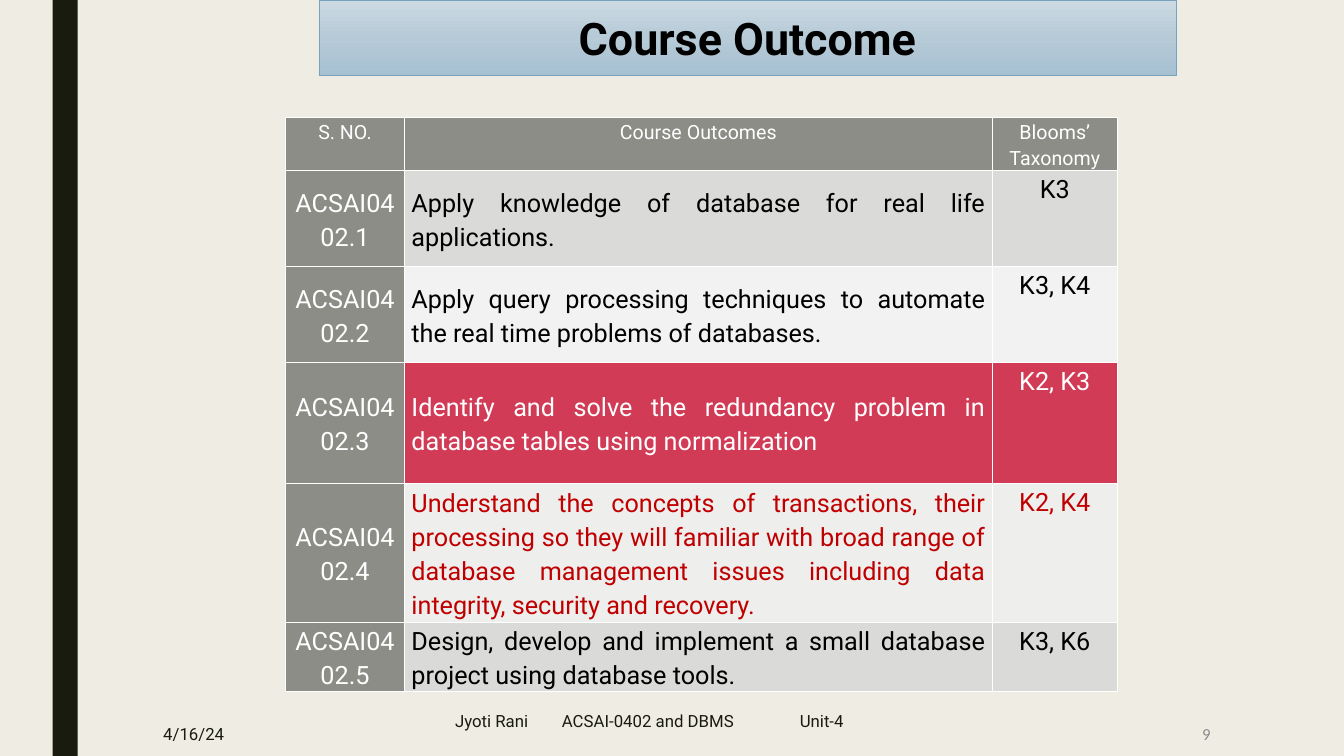
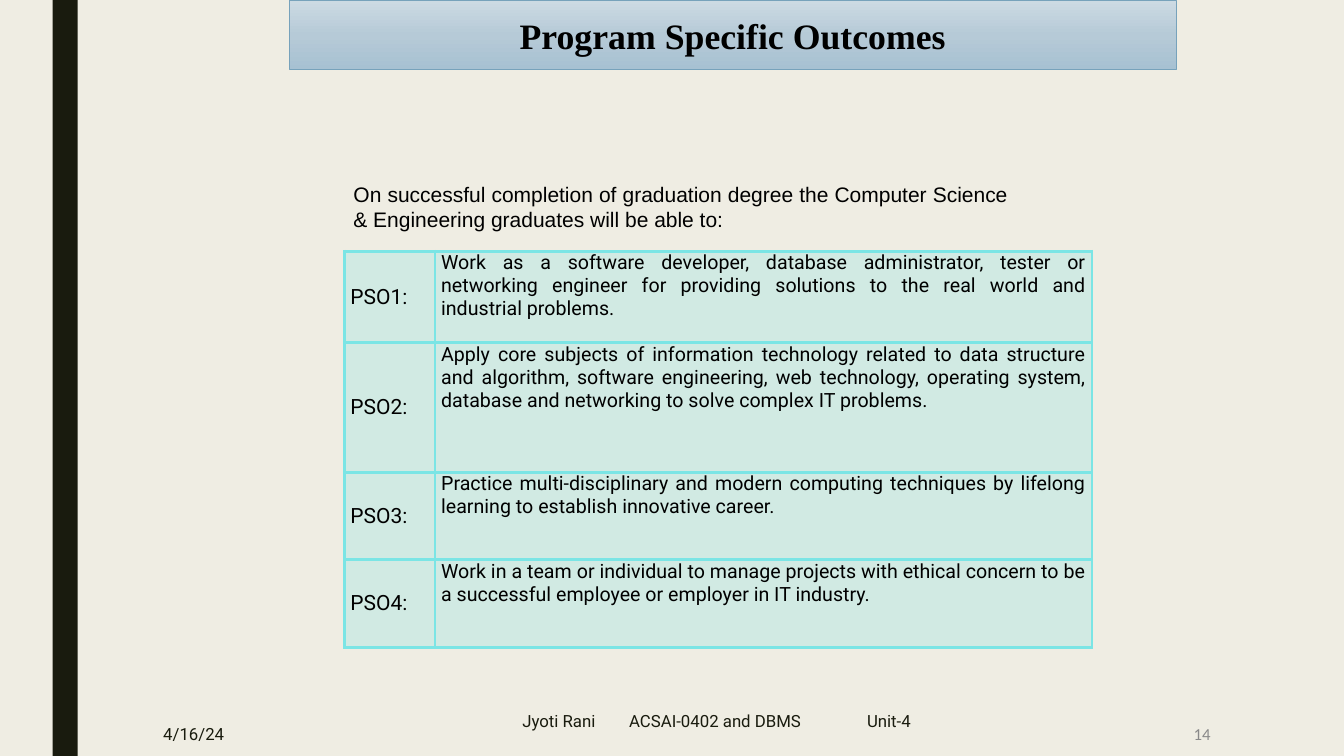
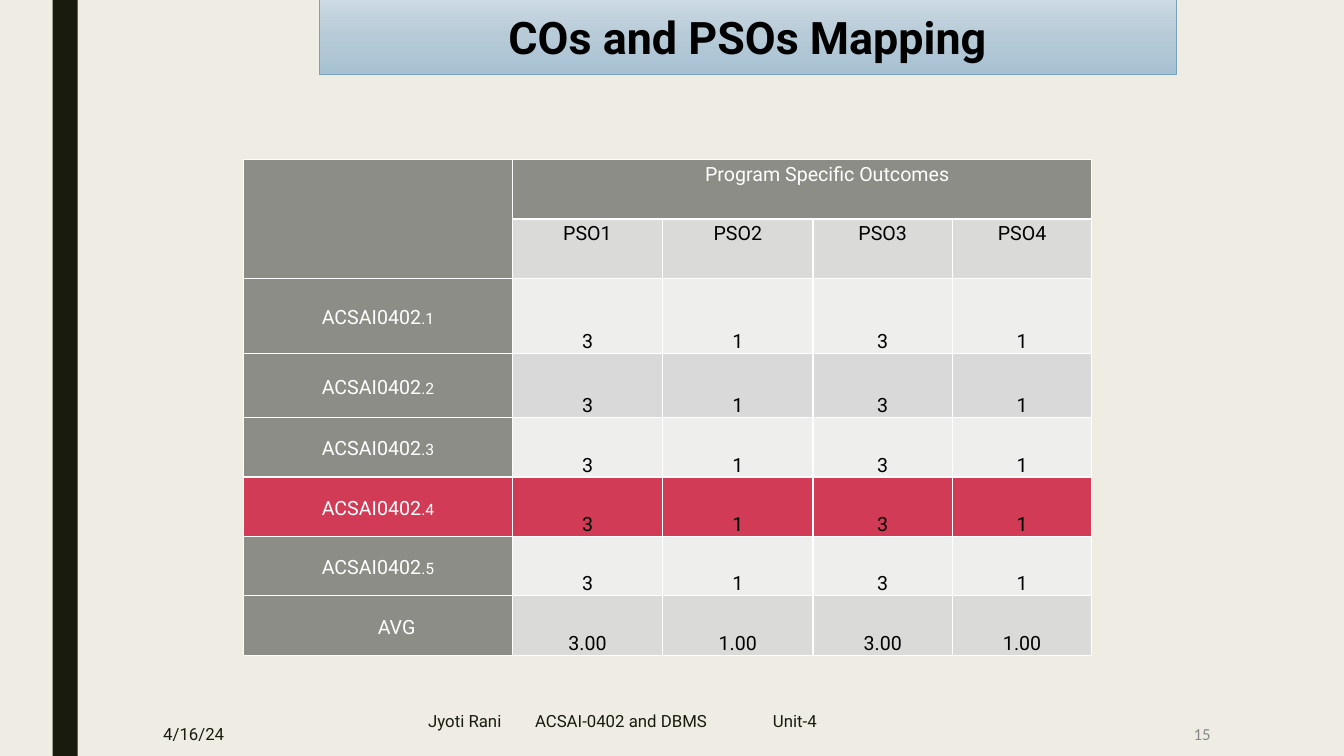
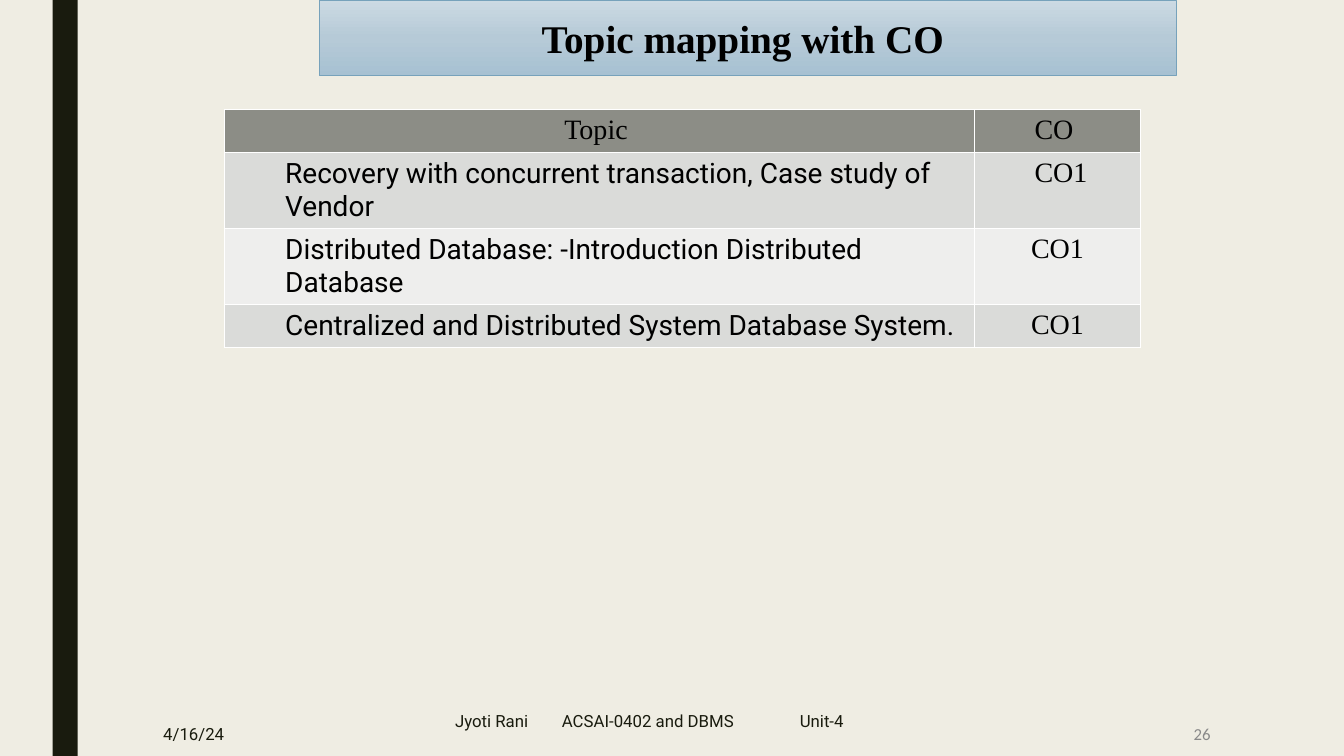
"""Build four course outcome slides with shared bands, footers and tables."""
from copy import deepcopy
from dataclasses import dataclass, replace
from typing import NamedTuple

from lxml.etree import SubElement as Sub
from pptx import Presentation
from pptx.dml.color import RGBColor as Color
from pptx.enum.shapes import MSO_SHAPE as Kind
from pptx.enum.text import MSO_ANCHOR as Anchor, MSO_AUTO_SIZE as Auto, PP_ALIGN as Align
from pptx.oxml.ns import qn
from pptx.slide import Slide
from pptx.table import _Cell as Slot
from pptx.text.text import TextFrame as Frame, _Paragraph as Para
from pptx.util import Emu, Inches, Pt

ROWS = 90
WIDE, HIGH = Inches(13.3333), Inches(7.5)


def unit(n: float) -> Emu:
    """Turn grid units into a length; a column is as wide as a row is high."""
    return Emu(round(n * HIGH / ROWS))


class Look(NamedTuple):
    size: float
    font: str
    ink: str
    bold: bool = False


class Box(NamedTuple):
    left: float
    top: float
    wide: float
    high: float

    def scale(self) -> list[Emu]:
        """Give the four sides as slide lengths."""
        return [unit(n) for n in self]


@dataclass(frozen=True)
class Theme:
    page: str = "EFEDE3"
    dark: str = "191B0E"
    black: str = "000000"
    white: str = "FFFFFF"
    head: str = "8C8D86"
    mid: str = "DADBD9"
    flat: str = "D9D9D9"
    pale: str = "EEEEED"
    light: str = "F2F2F2"
    red: str = "D13B56"
    alert: str = "C00000"
    aqua: str = "7BE5E5"
    edge: str = "77A2BB"
    gray: str = "898989"
    band: tuple[str, ...] = ("CCDAE3", "B6CAD7", "A7C1D2")
    sans: str = "Roboto"
    serif: str = "Times New Roman"
    plain: str = "Arial"
    digit: str = "Calibri"
    title: float = 32
    topic: float = 28
    program: float = 25.5
    large: float = 20
    main: float = 18
    note: float = 15
    small: float = 14
    foot: float = 12


T = Theme()
FOOT = Look(T.foot, T.sans, T.dark)
COUNT = Look(T.foot, T.digit, T.gray)
TITLE = Look(T.title, T.sans, T.black, True)
MAIN = Look(T.main, T.sans, T.black)
SMALL = Look(T.small, T.sans, T.black)
LABEL = Look(T.note, T.sans, T.black)
INTRO = Look(T.note, T.plain, T.black)
TOPIC = Look(T.large, T.sans, T.black)
CODE = Look(T.large, T.serif, T.black)
BAND = Box(38, 0, 102, 9)


@dataclass(frozen=True)
class Cell:
    text: str
    look: Look
    fill: str
    align: Align = Align.CENTER
    anchor: Anchor = Anchor.TOP
    tail: str = ""
    dent: float = 0
    after: float = 0


@dataclass(frozen=True)
class Grid:
    left: float
    top: float
    cols: list[float]
    rows: list[float]
    cells: list[list[Cell]]
    inset: tuple[float, float] = (0.07, 0)
    lead: float = 1.15
    edge: str = T.white
    line: float = 1
    alpha: int = 100


@dataclass(frozen=True)
class Page:
    title: str
    look: Look
    band: Box
    foot: Box
    count: str
    grid: Grid


def add_run(para: Para, text: str, look: Look, caps: bool = False) -> None:
    """Add one run in the given look."""
    run = para.add_run()
    run.text = text
    font = run.font
    font.size, font.name, font.bold = Pt(look.size), look.font, look.bold
    font.color.rgb = Color.from_string(look.ink)
    if caps:
        run._r.get_or_add_rPr().set("cap", "small")


def write(frame: Frame, text: str, look: Look, align: Align = Align.LEFT,
          anchor: Anchor = Anchor.MIDDLE) -> Para:
    """Write a single wrapped paragraph into a frame."""
    frame.word_wrap, frame.auto_size = True, Auto.NONE
    frame.vertical_anchor = anchor
    para = frame.paragraphs[0]
    para.alignment = align
    add_run(para, text, look)
    return para


def add_text(slide: Slide, box: Box, text: str, look: Look,
             align: Align = Align.LEFT, anchor: Anchor = Anchor.MIDDLE) -> Para:
    """Place a text box."""
    frame = slide.shapes.add_textbox(*box.scale()).text_frame
    return write(frame, text, look, align, anchor)


def add_title(slide: Slide, page: Page) -> None:
    """Turn the title placeholder into the shaded band."""
    band = slide.shapes.title
    band.left, band.top, band.width, band.height = page.band.scale()
    band.fill.gradient()
    band.fill.gradient_angle = 270
    stops = band.fill._fill._gradFill.find(qn("a:gsLst"))
    stops.insert(1, deepcopy(stops[0]))
    for i, stop in enumerate(band.fill.gradient_stops):
        stop.position = i / 2
        stop.color.rgb = Color.from_string(T.band[i])
    band.line.color.rgb = Color.from_string(T.edge)
    band.line.width = Pt(0.5)
    band.shadow.inherit = False
    write(band.text_frame, page.title, page.look, Align.CENTER)


def add_foot(slide: Slide, page: Page) -> None:
    """Add the date, the course line and the slide number."""
    add_text(slide, Box(18.25, 84.7, 15.8, 5.3), "4/16/24", FOOT)
    para = add_text(slide, page.foot, "Jyoti Rani\tACSAI-0402 and DBMS\tUnit-4", FOOT)
    tabs = Sub(para._p.get_or_add_pPr(), qn("a:tabLst"))
    for stop in (1.06, 3.42):
        Sub(tabs, qn("a:tab"), pos=str(Inches(stop)), algn="l")
    add_text(slide, Box(124.3, 84.7, 21, 5.3), page.count, COUNT, Align.RIGHT)


def add_edge(slot: Slot, ink: str, line: float) -> None:
    """Draw the four borders of a cell."""
    props = slot._tc.get_or_add_tcPr()
    for i, side in enumerate("LRTB"):
        edge = props.makeelement(qn(f"a:ln{side}"), {"w": str(Pt(line))})
        props.insert(i, edge)
        Sub(Sub(edge, qn("a:solidFill")), qn("a:srgbClr"), val=ink)


def fill_cell(slot: Slot, cell: Cell, grid: Grid) -> None:
    """Style one table cell and write its text."""
    slot.margin_left = slot.margin_right = Inches(grid.inset[0])
    slot.margin_top = slot.margin_bottom = Inches(grid.inset[1])
    slot.vertical_anchor = cell.anchor
    slot.fill.solid()
    slot.fill.fore_color.rgb = Color.from_string(cell.fill)
    if grid.alpha < 100:
        tint = slot._tc.tcPr.find(qn("a:solidFill"))[0]
        Sub(tint, qn("a:alpha"), val=str(grid.alpha * 1000))
    add_edge(slot, grid.edge, grid.line)
    if not cell.text:
        return
    para = slot.text_frame.paragraphs[0]
    para.alignment, para.line_spacing = cell.align, grid.lead
    if cell.after:
        para.space_after = Pt(cell.after)
    if cell.dent:
        props = para._p.get_or_add_pPr()
        props.set("marL", str(Inches(cell.dent)))
        props.set("indent", "0")
    add_run(para, cell.text, cell.look)
    if cell.tail:
        add_run(para, cell.tail, cell.look, True)


def add_grid(slide: Slide, grid: Grid) -> None:
    """Place a table, merging the two-row corner and the wide heading."""
    box = Box(grid.left, grid.top, sum(grid.cols), sum(grid.rows))
    table = slide.shapes.add_table(len(grid.rows), len(grid.cols), *box.scale()).table
    table.first_row = table.horz_banding = False
    for col, wide in zip(table.columns, grid.cols):
        col.width = unit(wide)
    for row, high in zip(table.rows, grid.rows):
        row.height = unit(high)
    for r, line in enumerate(grid.cells):
        for c, cell in enumerate(line):
            fill_cell(table.cell(r, c), cell, grid)
    if not grid.cells[0][0].text:
        table.cell(0, 0).merge(table.cell(1, 0))
        table.cell(0, 1).merge(table.cell(0, len(grid.cols) - 1))


def goals() -> Grid:
    """Lay out the course outcomes."""
    top = Cell("", SMALL._replace(ink=T.white), T.head)
    data = [
        ("Apply knowledge of database for real life applications.", "K3", T.mid, T.black),
        ("Apply query processing techniques to automate the real time problems of databases.",
         "K3, K4", T.light, T.black),
        ("Identify and solve the redundancy problem in database tables using normalization",
         "K2, K3", T.red, T.white),
        ("Understand the concepts of transactions, their processing so they will familiar with "
         "broad range of database management issues including data integrity, security and "
         "recovery.", "K2, K4", T.pale, T.alert),
        ("Design, develop and implement a small database project using database tools.",
         "K3, K6", T.mid, T.black),
    ]
    cells = [[replace(top, text=t) for t in ("S. NO.", "Course Outcomes", "Blooms’ Taxonomy")]]
    for i, (text, level, fill, ink) in enumerate(data, 1):
        look = MAIN._replace(ink=ink)
        cells.append([
            Cell(f"ACSAI0402.{i}", MAIN._replace(ink=T.white), T.head, anchor=Anchor.MIDDLE),
            Cell(text, look, fill, Align.JUSTIFY, Anchor.MIDDLE),
            Cell(level, look, fill),
        ])
    return Grid(34, 14, [14.15, 70, 14.85], [6.3, 11.43, 11.43, 14.35, 16.55, 8.2], cells)


def aims() -> Grid:
    """Lay out the program specific outcomes."""
    data = [
        "Work as a software developer, database administrator, tester or networking engineer "
        "for providing solutions to the real world and industrial problems.",
        "Apply core subjects of information technology related to data structure and algorithm, "
        "software engineering, web technology, operating system, database and networking to "
        "solve complex IT problems.",
        "Practice multi-disciplinary and modern computing techniques by lifelong learning to "
        "establish innovative career.",
        "Work in a team or individual to manage projects with ethical concern to be a "
        "successful employee or employer in IT industry.",
    ]
    cells = [[Cell(f"PSO{i}:", LABEL, T.aqua, Align.JUSTIFY, Anchor.MIDDLE),
              Cell(text, SMALL, T.aqua, Align.JUSTIFY)] for i, text in enumerate(data, 1)]
    return Grid(41, 29.9, [10.8, 78.2], [10.9, 15.45, 10.4, 10.4], cells,
                (0.06, 0), 1, T.aqua, 2.25, 25)


def scores() -> Grid:
    """Lay out the mapping of course outcomes to program outcomes."""
    blank = Cell("", SMALL._replace(ink=T.white), T.head)
    side = replace(blank, anchor=Anchor.MIDDLE)
    cells = [
        [blank, replace(blank, text="Program Specific Outcomes", dent=0.5, after=10)] + [blank] * 3,
        [blank] + [Cell(f"PSO{i}", SMALL, T.mid) for i in range(1, 5)],
    ]
    marks = (3, 1, 3, 1)
    for i, fill in enumerate((T.pale, T.flat, T.pale, T.red, T.pale), 1):
        tone = T.red if fill == T.red else T.head
        cells.append([replace(side, text="ACSAI0402", tail=f".{i}", fill=tone)]
                     + [Cell(str(n), SMALL, fill, anchor=Anchor.BOTTOM, after=10) for n in marks])
    cells.append([replace(side, text="AVG", dent=0.37)]
                 + [Cell(f"{n:.2f}", SMALL, T.mid, anchor=Anchor.BOTTOM, after=10) for n in marks])
    return Grid(29, 19, [32, 17.9, 17.9, 16.6, 16.6], [7.08, 7.08, 8.95, 7.6] + [7.08] * 4, cells)


def topics() -> Grid:
    """Lay out the topics and their course outcomes."""
    data = [
        ("Recovery with concurrent transaction, Case study of Vendor", " CO1", T.mid),
        ("Distributed Database: -Introduction Distributed Database", "CO1", T.pale),
        ("Centralized and Distributed System Database System.", "CO1", T.mid),
    ]
    cells = [[Cell(t, CODE, T.head) for t in ("Topic ", "CO ")]]
    cells += [[Cell(text, TOPIC, fill, Align.LEFT, dent=0.5), Cell(code, CODE, fill)]
              for text, code, fill in data]
    return Grid(26.75, 13, [89.25, 19.8], [5.15] * 4, cells, (0.1, 0.05), 1)


def main() -> None:
    """Build and save the deck."""
    deck = Presentation()
    deck.slide_width, deck.slide_height = WIDE, HIGH
    master = deck.slide_master
    master.background.fill.solid()
    master.background.fill.fore_color.rgb = Color.from_string(T.page)
    foot = Box(53, 83.4, 66, 4.8)
    pages = [
        Page("Course Outcome", TITLE, BAND, foot, "9", goals()),
        Page("Program Specific Outcomes", TITLE._replace(size=T.program, font=T.serif),
             Box(34.5, 0.1, 105.5, 8.2), Box(61, 83.4, 53, 4.8), "14", aims()),
        Page("COs and PSOs Mapping", TITLE, BAND._replace(top=-0.1),
             Box(49.8, 83.4, 73.7, 4.8), "15", scores()),
        Page("Topic mapping with CO ", TITLE._replace(size=T.topic, font=T.serif),
             BAND, foot, "26", topics()),
    ]
    for page in pages:
        slide = deck.slides.add_slide(deck.slide_layouts[5])
        add_foot(slide, page)
        add_title(slide, page)
        add_grid(slide, page.grid)

    bar = deck.slides[0].shapes.add_shape(Kind.RECTANGLE, *Box(6.25, 0, 3, ROWS).scale())
    bar.fill.solid()
    bar.fill.fore_color.rgb = Color.from_string(T.dark)
    bar.line.fill.background()
    bar.shadow.inherit = False
    bar.element.nvSpPr.cNvPr.set("id", "99")
    master.shapes.element.insert(2, bar.element)

    add_text(deck.slides[1], Box(40.9, 21, 80.3, 7.3),
             "On successful completion of graduation degree the Computer Science & Engineering "
             "graduates will be able to:", INTRO, Align.JUSTIFY, Anchor.TOP)
    deck.save("out.pptx")


if __name__ == "__main__":
    main()
